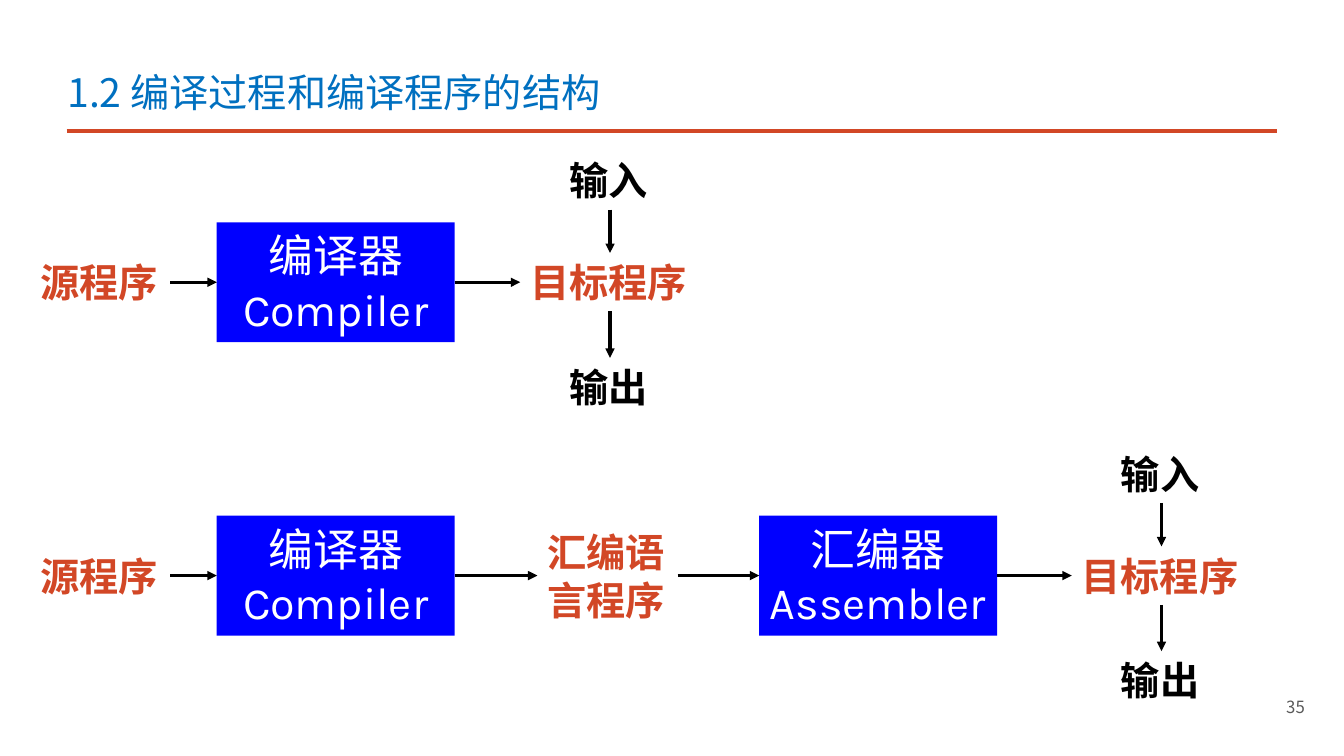
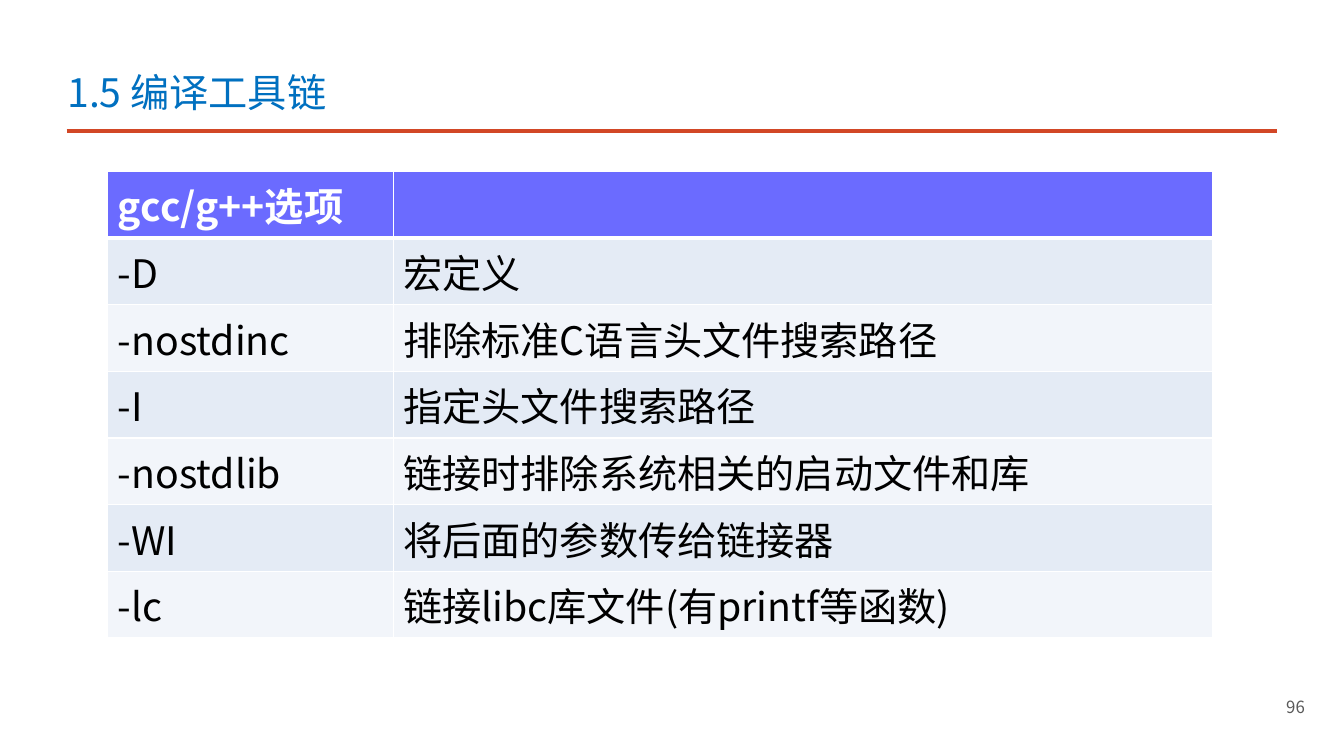
from dataclasses import dataclass
from itertools import pairwise

from lxml.etree import SubElement
from pptx import Presentation
from pptx.dml.color import RGBColor
from pptx.enum.shapes import MSO_CONNECTOR as Connector, MSO_SHAPE as Preset
from pptx.enum.text import MSO_ANCHOR as Anchor, PP_ALIGN as Align
from pptx.oxml.ns import qn
from pptx.util import Inches, Pt


@dataclass(frozen=True)
class Theme:
    title: str = "0070C0"
    accent: str = "D24726"
    tool: str = "0000FF"
    ink: str = "000000"
    paper: str = "FFFFFF"
    muted: str = "595959"
    bands: tuple = ("D2DEEF", "EAEFF7")
    cell_opacity: int = 58
    font: str = "Noto Sans CJK SC"
    tool_font: str = "Karla"
    body_size: int = 28
    tool_size: int = 32
    number_size: int = 12
    label_pitch: int = 34


@dataclass(frozen=True)
class Box:
    left: float
    top: float
    width: float
    height: float

    def inches(self):
        return [Inches(n) for n in (self.left, self.top, self.width, self.height)]


THEME = Theme()
SLIDE_WIDTH, SLIDE_HEIGHT = 13.33, 7.5
TOP, LEFT, BOTTOM, RIGHT = range(4)
LABEL_HEIGHT, LABEL_PITCH = 0.58, 0.46
TOOL_WIDTH, TOOL_HEIGHT = 2.36, 1.19


def rgb(color):
    return RGBColor.from_string(color)


def write(frame, text, *, color=THEME.ink, size=THEME.body_size, font=THEME.font,
          bold=False, align=Align.LEFT, pitch=None):
    for index, line in enumerate(text.split("\n")):
        para = frame.add_paragraph() if index else frame.paragraphs[0]
        para.alignment = align
        if pitch:
            para.line_spacing = Pt(pitch)
        span = para.add_run()
        span.text = line
        span.font.name = font
        span.font.size = Pt(size)
        span.font.bold = bold
        span.font.color.rgb = rgb(color)
        SubElement(span._r.get_or_add_rPr(), qn("a:ea"), typeface=THEME.font)


def add_text(page, box, text, *, fill=None, anchor=Anchor.TOP,
             insets=(0.1, 0.05, 0.1, 0.05), **text_format):
    if fill:
        shape = page.shapes.add_shape(Preset.RECTANGLE, *box.inches())
        shape.shadow.inherit = False
        shape.fill.solid()
        shape.fill.fore_color.rgb = rgb(fill)
        shape.line.fill.background()
    else:
        shape = page.shapes.add_textbox(*box.inches())
    frame = shape.text_frame
    frame.word_wrap = True
    frame.vertical_anchor = anchor
    (frame.margin_left, frame.margin_top,
     frame.margin_right, frame.margin_bottom) = [Inches(n) for n in insets]
    write(frame, text, **text_format)
    return shape


def add_line(page, start, end, *, color=THEME.ink, width=2.25, arrow=False):
    line = page.shapes.add_connector(
        Connector.STRAIGHT, *[Inches(n) for n in (*start, *end)])
    line.line.color.rgb = rgb(color)
    line.line.width = Pt(width)
    properties = line.element.spPr
    if arrow:
        SubElement(properties.find(qn("a:ln")), qn("a:tailEnd"), type="triangle")
    SubElement(properties, qn("a:effectLst"))
    return line


def join(page, source, source_side, target, target_side):
    arrow = add_line(page, (0, 0), (0, 0), arrow=True)
    arrow.begin_connect(source, source_side)
    arrow.end_connect(target, target_side)


def add_frame(page, title, number):
    add_line(page, (0.66, 1.3), (12.67, 1.3), color=THEME.accent)
    add_text(page, Box(0.57, 0.49, 7.52, 0.7), title, color=THEME.title,
             anchor=Anchor.BOTTOM)
    add_text(page, Box(9.15, 6.81, 3.89, 0.4), number, color=THEME.muted,
             size=THEME.number_size, align=Align.RIGHT, anchor=Anchor.MIDDLE)


def label_width(text):
    return 0.39 * max(map(len, text.split("\n"))) + 0.22


def add_label(page, center, middle, text, color=THEME.accent):
    width = label_width(text)
    height = LABEL_HEIGHT + LABEL_PITCH * text.count("\n")
    return add_text(page, Box(center - width / 2, middle - height / 2, width, height),
                    text, color=color, bold=True, pitch=THEME.label_pitch)


def add_tool(page, center, middle, text):
    box = Box(center - TOOL_WIDTH / 2, middle - TOOL_HEIGHT / 2, TOOL_WIDTH, TOOL_HEIGHT)
    return add_text(page, box, text, fill=THEME.tool, color=THEME.paper,
                    size=THEME.tool_size, font=THEME.tool_font, align=Align.CENTER,
                    anchor=Anchor.MIDDLE, insets=(0.05, 0.05, 0.05, 0.06))


def add_pipeline(page, box, stages):
    middle = box.top + 1.3
    edge = box.left
    shapes = []
    for gap, draw, text in stages:
        width = TOOL_WIDTH if draw is add_tool else label_width(text)
        center = edge + gap + width / 2
        shapes.append(draw(page, center, middle, text))
        edge += gap + width
    for source, target in pairwise(shapes):
        join(page, source, RIGHT, target, LEFT)
    half = LABEL_HEIGHT / 2
    given = add_label(page, center, box.top + half, "输入", THEME.ink)
    result = add_label(page, center, box.top + box.height - half, "输出", THEME.ink)
    join(page, given, BOTTOM, shapes[-1], TOP)
    join(page, shapes[-1], BOTTOM, result, TOP)


def style_cell(cell, fill, bottom=1, top=1):
    properties = cell._tc.get_or_add_tcPr()
    for side, width in (("L", 1), ("R", 1), ("T", top), ("B", bottom)):
        border = SubElement(properties, qn(f"a:ln{side}"), w=str(Pt(width)))
        SubElement(SubElement(border, qn("a:solidFill")), qn("a:srgbClr"), val=THEME.paper)
    cell.fill.solid()
    cell.fill.fore_color.rgb = rgb(fill)
    color = properties.find(qn("a:solidFill")).find(qn("a:srgbClr"))
    SubElement(color, qn("a:alpha"), val=str(THEME.cell_opacity * 1000))


def add_option_table(page, box, rows, first_width):
    table = page.shapes.add_table(len(rows), 2, *box.inches()).table
    for column, width in zip(table.columns, (first_width, box.width - first_width)):
        column.width = Inches(width)
    for index, texts in enumerate(rows):
        header = index == 0
        fill = THEME.tool if header else THEME.bands[(index - 1) % 2]
        for cell, text in zip(table.rows[index].cells, texts):
            style_cell(cell, fill, bottom=3 if header else 1, top=3 if index == 1 else 1)
            if text:
                write(cell.text_frame, text, bold=header,
                      color=THEME.paper if header else THEME.ink)


def build_structure(page):
    add_frame(page, "1.2 编译过程和编译程序的结构", "35")
    start = [(0, add_label, "源程序"), (0.46, add_tool, "编译器\nCompiler")]
    add_pipeline(page, Box(0.3, 1.5, 6.65, 2.63),
                 start + [(0.65, add_label, "目标程序")])
    add_pipeline(page, Box(0.3, 4.41, 12.11, 2.63), start + [
        (0.82, add_label, "汇编语\n言程序"),
        (0.81, add_tool, "汇编器\nAssembler"),
        (0.74, add_label, "目标程序"),
    ])


def build_options(page):
    add_frame(page, "1.5 编译工具链", "96")
    add_option_table(page, Box(1.07, 1.7, 10.96, 4.63), [
        ("gcc/g++选项", ""),
        ("-D", "宏定义"),
        ("-nostdinc", "排除标准C语言头文件搜索路径"),
        ("-I", "指定头文件搜索路径"),
        ("-nostdlib", "链接时排除系统相关的启动文件和库"),
        ("-WI", "将后面的参数传给链接器"),
        ("-lc", "链接libc库文件(有printf等函数)"),
    ], first_width=2.83)


def main():
    deck = Presentation()
    deck.slide_width = Inches(SLIDE_WIDTH)
    deck.slide_height = Inches(SLIDE_HEIGHT)
    for build in (build_structure, build_options):
        build(deck.slides.add_slide(deck.slide_layouts[6]))
    deck.save("out.pptx")


if __name__ == "__main__":
    main()
